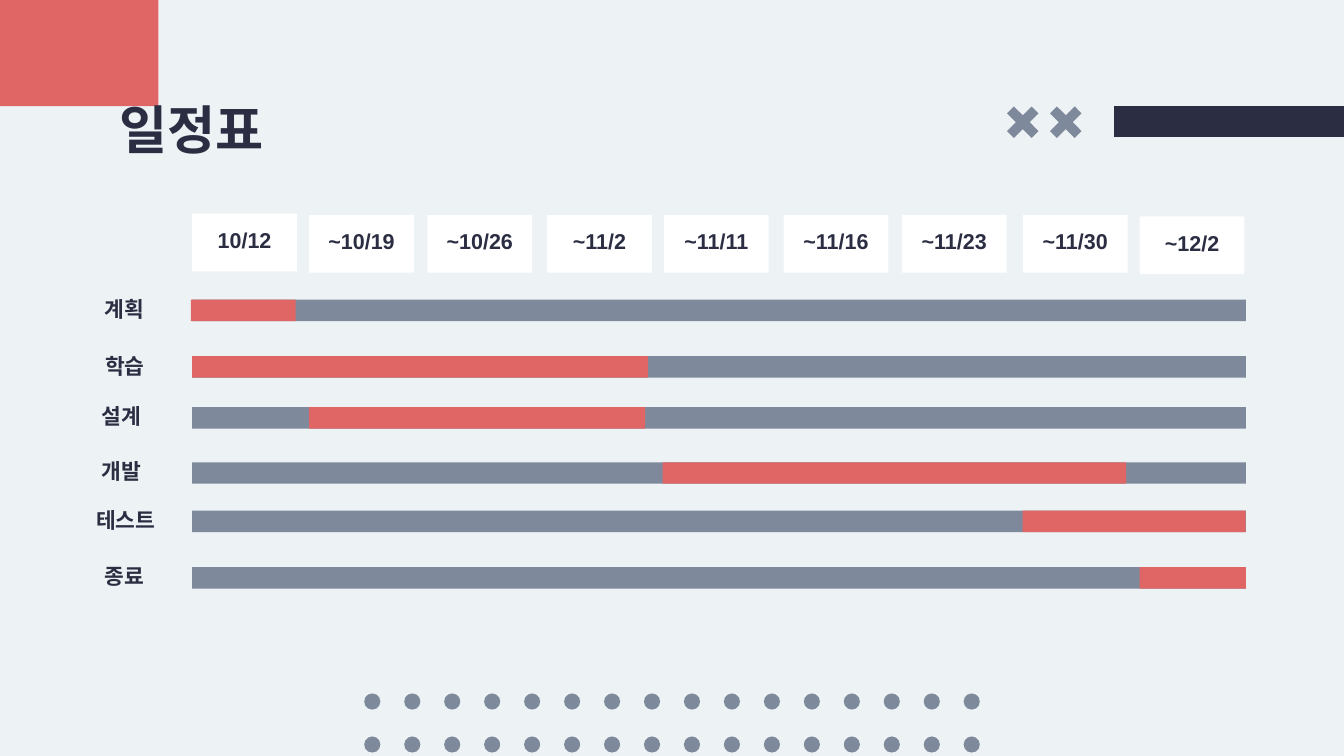
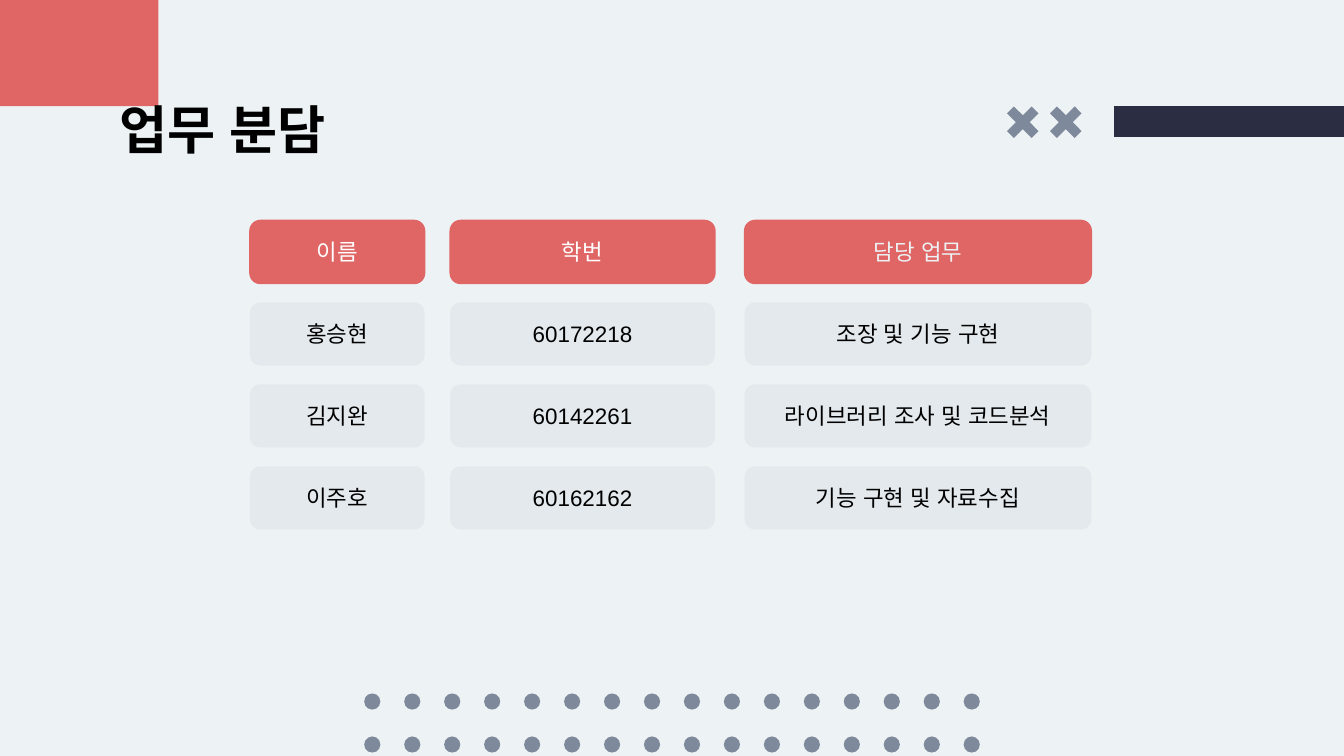
"""Build a project schedule slide and a task assignment slide."""
from dataclasses import dataclass
from typing import Optional, Union

from lxml import etree
from pptx import Presentation
from pptx.dml.color import RGBColor
from pptx.enum.shapes import MSO_SHAPE
from pptx.enum.text import MSO_ANCHOR, PP_ALIGN
from pptx.oxml.ns import qn
from pptx.presentation import Presentation as Deck
from pptx.shapes.autoshape import Shape
from pptx.shapes.shapetree import GroupShapes, SlideShapes
from pptx.slide import Slide
from pptx.util import Inches, Pt

RECTANGLE = MSO_SHAPE.RECTANGLE
CROSS = MSO_SHAPE.CROSS
OVAL = MSO_SHAPE.OVAL
ROUNDED = MSO_SHAPE.FLOWCHART_ALTERNATE_PROCESS
LEFT, CENTER = PP_ALIGN.LEFT, PP_ALIGN.CENTER
TOP, MIDDLE = MSO_ANCHOR.TOP, MSO_ANCHOR.MIDDLE

FONT = "Arial"
COLORS = {
    "background": "EDF2F4",
    "navy": "2B2D42",
    "slate": "7E899C",
    "red": "E06666",
    "cell": "E3E9ED",
    "white": "FFFFFF",
    "black": "000000",
}
ShapeTree = Union[SlideShapes, GroupShapes]


@dataclass(frozen=True)
class Box:
    """A rectangle in inches."""
    left: float
    top: float
    width: float
    height: float


@dataclass(frozen=True)
class TextStyle:
    """The look of a one-line text."""
    size: float
    color: str
    bold: bool = False
    align: PP_ALIGN = CENTER
    anchor: MSO_ANCHOR = TOP


@dataclass(frozen=True)
class DateBox:
    """A date heading above the bars."""
    text: str
    left: float
    top: float = 1.6


@dataclass(frozen=True)
class Task:
    """A schedule row with its label and active period."""
    name: str
    label_left: float
    label_width: float
    label_top: float
    bar_top: float
    start: float
    length: float


@dataclass(frozen=True)
class Column:
    """An assignment column with its heading and entries."""
    left: float
    width: float
    heading: str
    heading_color: str
    entries: tuple[str, ...]


LABEL_STYLE = TextStyle(11.5, "navy", bold=True)
DATE_WIDTH, LABEL_HEIGHT = 0.78, 0.43
BAR_LEFT, BAR_WIDTH, BAR_HEIGHT = 1.43, 7.84, 0.16
DATES = (
    DateBox("10/12", 1.43, 1.59),
    DateBox("~10/19", 2.3),
    DateBox("~10/26", 3.18),
    DateBox("~11/2", 4.07),
    DateBox("~11/11", 4.94),
    DateBox("~11/16", 5.83),
    DateBox("~11/23", 6.71),
    DateBox("~11/30", 7.61),
    DateBox("~12/2", 8.48, 1.61),
)
TASKS = (
    Task("계획", 0.42, 1.01, 2.11, 2.23, 1.42, 0.78),
    Task("학습", 0.43, 1.0, 2.53, 2.65, 1.43, 3.39),
    Task("설계", 0.42, 0.97, 2.9, 3.03, 2.3, 2.5),
    Task("개발", 0.42, 0.97, 3.31, 3.44, 4.93, 3.45),
    Task("테스트", 0.44, 0.99, 3.68, 3.8, 7.61, 1.66),
    Task("종료", 0.42, 1.01, 4.09, 4.22, 8.48, 0.79),
)
CELL_TOP, CELL_PITCH, CELL_HEIGHT = 1.64, 0.61, 0.47
COLUMNS = (
    Column(1.86, 1.3, "이름", "white", ("홍승현", "김지완", "이주호")),
    Column(3.35, 1.97, "학번", "white", ("60172218", "60142261", "60162162")),
    Column(5.54, 2.58, "담당 업무", "background",
           ("조장 및 기능 구현", "라이브러리 조사 및 코드분석", "기능 구현 및 자료수집")),
)


def rgb(name: str) -> RGBColor:
    """Return a palette colour."""
    return RGBColor.from_string(COLORS[name])


def write_text(shape: Shape, text: str, style: TextStyle) -> None:
    """Write one styled run into a shape."""
    frame = shape.text_frame
    frame.word_wrap = True
    frame.vertical_anchor = style.anchor
    frame.margin_left = frame.margin_right = Inches(0.1)
    frame.margin_top = frame.margin_bottom = Inches(0.1)
    paragraph = frame.paragraphs[0]
    paragraph.alignment = style.align
    run = paragraph.add_run()
    run.text = text
    run.font.name = FONT
    run.font.size = Pt(style.size)
    run.font.bold = style.bold
    run.font.color.rgb = rgb(style.color)
    properties = run._r.get_or_add_rPr()
    etree.SubElement(properties, qn("a:ea"), typeface=FONT)


def add_text(slide: Slide, box: Box, text: str, style: TextStyle) -> None:
    """Add a text box."""
    shape = slide.shapes.add_textbox(
        Inches(box.left), Inches(box.top), Inches(box.width), Inches(box.height))
    write_text(shape, text, style)


def add_block(shapes: ShapeTree, kind: MSO_SHAPE, box: Box, fill: str,
              line: Optional[str] = None) -> Shape:
    """Add a flat filled shape with an optional outline."""
    shape = shapes.add_shape(
        kind, Inches(box.left), Inches(box.top), Inches(box.width), Inches(box.height))
    shape.shadow.inherit = False
    shape.fill.solid()
    shape.fill.fore_color.rgb = rgb(fill)
    if line:
        shape.line.color.rgb = rgb(line)
        shape.line.width = Pt(0.75)
    else:
        shape.line.fill.background()
    return shape


def add_dots(slide: Slide) -> None:
    """Add the two rows of dots along the bottom edge."""
    dots = slide.shapes.add_group_shape().shapes
    columns, first, last = 16, 2.71, 7.17
    pitch = (last - first) / (columns - 1)
    for top in (5.16, 5.48):
        for column in range(columns):
            add_block(dots, OVAL, Box(first + column * pitch, top, 0.12, 0.12), "slate")


def add_base_slide(presentation: Deck, title: str, title_color: str) -> Slide:
    """Add a slide with the shared decoration and title."""
    slide = presentation.slides.add_slide(presentation.slide_layouts[6])
    slide.background.fill.solid()
    slide.background.fill.fore_color.rgb = rgb("background")
    add_block(slide.shapes, RECTANGLE, Box(8.29, 0.79, 1.71, 0.23), "navy")
    for left in (7.48, 7.8):
        cross = add_block(slide.shapes, CROSS, Box(left, 0.78, 0.26, 0.26), "slate")
        cross.adjustments[0] = 0.36
        cross.rotation = 45
    add_dots(slide)
    add_block(slide.shapes, RECTANGLE, Box(-0.19, -0.58, 1.37, 1.37), "red")
    add_text(slide, Box(0.79, 0.62, 5.29, 0.62), title,
             TextStyle(28, title_color, bold=True, align=LEFT))
    return slide


def add_task(slide: Slide, task: Task) -> None:
    """Add a task label and its bar with the active period marked."""
    bars = slide.shapes.add_group_shape().shapes
    add_block(bars, RECTANGLE, Box(BAR_LEFT, task.bar_top, BAR_WIDTH, BAR_HEIGHT), "slate")
    add_block(bars, RECTANGLE, Box(task.start, task.bar_top, task.length, BAR_HEIGHT), "red")
    add_text(slide, Box(task.label_left, task.label_top, task.label_width, LABEL_HEIGHT),
             task.name, LABEL_STYLE)


def build_schedule(presentation: Deck) -> None:
    """Build the schedule slide."""
    slide = add_base_slide(presentation, "일정표", "navy")
    for date in DATES:
        box = Box(date.left, date.top, DATE_WIDTH, LABEL_HEIGHT)
        write_text(add_block(slide.shapes, RECTANGLE, box, "white"), date.text, LABEL_STYLE)
    for task in TASKS:
        add_task(slide, task)


def build_assignments(presentation: Deck) -> None:
    """Build the task assignment slide."""
    slide = add_base_slide(presentation, "업무 분담", "black")
    cells = slide.shapes.add_group_shape().shapes
    for column in COLUMNS:
        for row, text in enumerate((column.heading, *column.entries)):
            box = Box(column.left, CELL_TOP + row * CELL_PITCH, column.width, CELL_HEIGHT)
            if row == 0:
                cell = add_block(cells, ROUNDED, box, "red", line="red")
                color = column.heading_color
            else:
                cell = add_block(cells, ROUNDED, box, "cell")
                color = "black"
            write_text(cell, text, TextStyle(12, color, anchor=MIDDLE))


def main() -> None:
    """Build and save the presentation."""
    presentation = Presentation()
    presentation.slide_width = Inches(10)
    presentation.slide_height = Inches(10 * 9 / 16)
    build_schedule(presentation)
    build_assignments(presentation)
    presentation.save("out.pptx")


if __name__ == "__main__":
    main()
